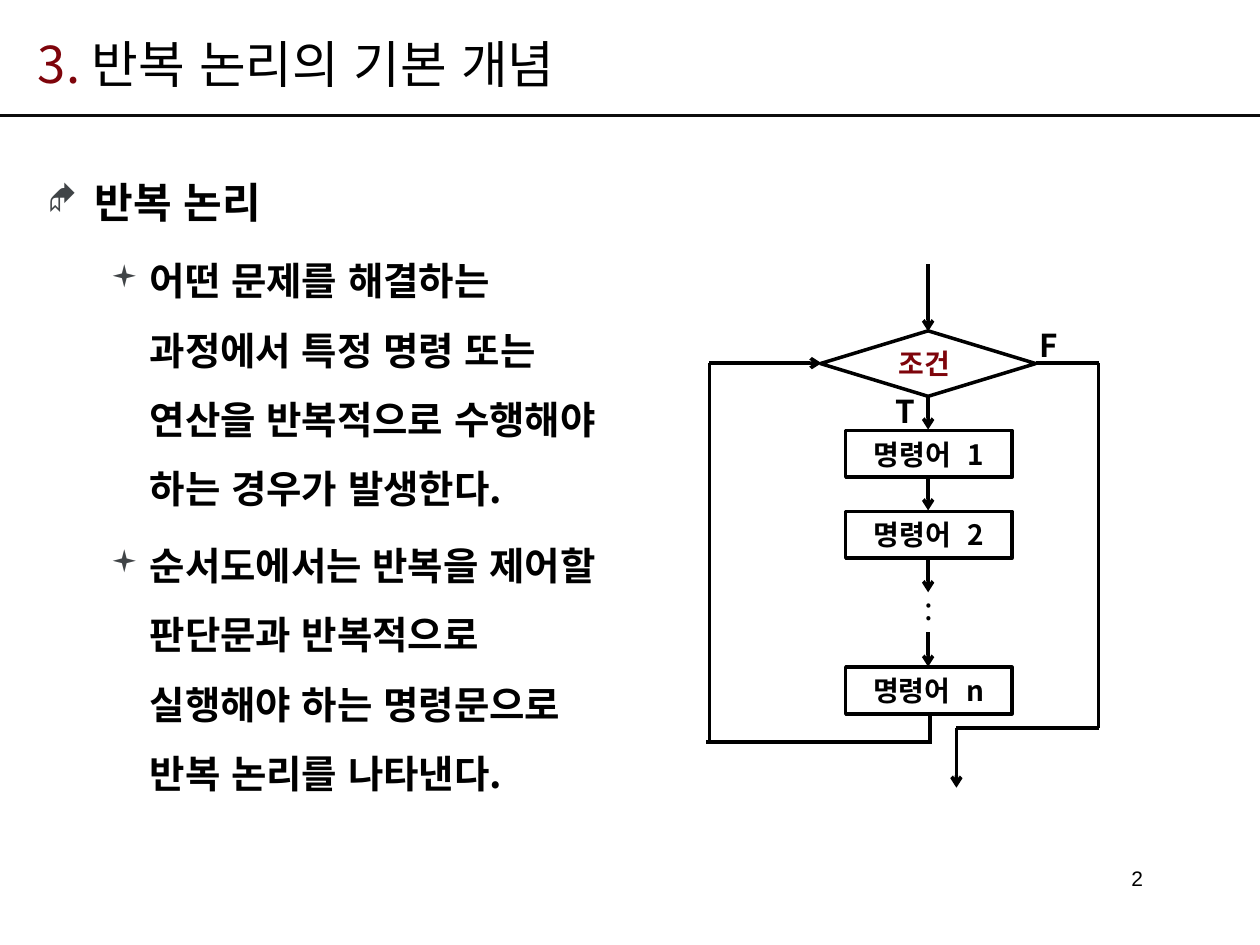
from dataclasses import dataclass

from lxml import etree
from pptx import Presentation
from pptx import util as u
from pptx.dml.color import RGBColor
from pptx.enum import lang, shapes, text
from pptx.oxml.ns import qn

COLORS = {"ink": "000000", "accent": "7E040B", "rule": "0D0D0D", "bullet": "404447"}
KOREAN = "Noto Sans CJK KR"


@dataclass
class Line:
    """A straight line in centimetres, with an optional arrowhead."""
    x1: float
    y1: float
    x2: float
    y2: float
    arrow: bool = False


@dataclass
class Label:
    """A small centred flowchart text."""
    words: str
    left: float
    top: float
    width: float
    height: float
    size: int = 18
    color: str = "ink"
    bold: bool = True
    spacing: float = 0


@dataclass
class Bullet:
    """One bulleted paragraph."""
    words: str
    mark: str
    size: int
    left: float
    hang: float
    level: int
    before: float


def rgb(name: str) -> RGBColor:
    """Look up a colour by name."""
    return RGBColor.from_string(COLORS[name])


def add_span(para, words: str, size: float, color: str = "ink", bold: bool = False,
             font: str = KOREAN):
    """Add one formatted run."""
    span = para.add_run()
    span.text = words
    span.font.size = u.Pt(size)
    span.font.bold = bold
    span.font.name = font
    span.font.language_id = lang.MSO_LANGUAGE_ID.KOREAN
    span.font.color.rgb = rgb(color)
    east = etree.SubElement(span.font._element, qn("a:ea"))
    east.set("typeface", font)
    return span


def add_text(page, left: float, top: float, width: float, height: float, wrap: bool = True):
    """Add a text box and return its frame."""
    box = page.shapes.add_textbox(u.Cm(left), u.Cm(top), u.Cm(width), u.Cm(height))
    box.text_frame.word_wrap = wrap
    return box.text_frame


def add_line(page, line: Line, weight: float = 2, color: str = "ink") -> None:
    """Draw a line or arrow without a shadow."""
    link = page.shapes.add_connector(shapes.MSO_CONNECTOR.STRAIGHT, u.Cm(line.x1),
                                     u.Cm(line.y1), u.Cm(line.x2), u.Cm(line.y2))
    link.line.width = u.Pt(weight)
    link.line.color.rgb = rgb(color)
    if line.arrow:
        etree.SubElement(link.line._get_or_add_ln(), qn("a:tailEnd")).set("type", "arrow")
    etree.SubElement(link._element.spPr, qn("a:effectLst"))


def add_node(page, kind, left: float, top: float, width: float, height: float):
    """Draw an outlined flowchart node."""
    node = page.shapes.add_shape(kind, u.Cm(left), u.Cm(top), u.Cm(width), u.Cm(height))
    node.shadow.inherit = False
    node.fill.background()
    node.line.color.rgb = rgb("ink")
    node.line.width = u.Pt(2)
    return node


def add_command(page, top: float, number: str) -> None:
    """Draw a process box holding a numbered command."""
    node = add_node(page, shapes.MSO_SHAPE.FLOWCHART_PROCESS, 17.05, top, 3.35, 0.94)
    frame = node.text_frame
    frame.word_wrap = False
    frame.vertical_anchor = text.MSO_ANCHOR.MIDDLE
    para = frame.paragraphs[0]
    para.alignment = text.PP_ALIGN.CENTER
    add_span(para, "명령어", 16, bold=True)
    gap = add_span(para, " ", 16, bold=True)
    gap.font._element.set("spc", "500")
    add_span(para, number, 16, bold=True)


def add_label(page, label: Label) -> None:
    """Place a flowchart label."""
    frame = add_text(page, label.left, label.top, label.width, label.height, wrap=False)
    para = frame.paragraphs[0]
    para.alignment = text.PP_ALIGN.CENTER
    if label.spacing:
        para.line_spacing = u.Pt(label.spacing)
    add_span(para, label.words, label.size, label.color, label.bold)


def add_bullet(para, bullet: Bullet) -> None:
    """Fill a paragraph with a hanging bullet and its text."""
    para.level = bullet.level
    para.line_spacing = 1.5
    para.space_before = u.Pt(bullet.before)
    props = para._p.get_or_add_pPr()
    props.set("marL", str(u.Cm(bullet.left)))
    props.set("indent", str(-u.Cm(bullet.hang)))
    tint = etree.SubElement(props, qn("a:buClr"))
    etree.SubElement(tint, qn("a:srgbClr")).set("val", COLORS["bullet"])
    etree.SubElement(props, qn("a:buSzPct")).set("val", "80000")
    etree.SubElement(props, qn("a:buFont")).set("typeface", "Wingdings")
    etree.SubElement(props, qn("a:buChar")).set("char", bullet.mark)
    add_span(para, bullet.words, bullet.size, bold=True)


BULLETS = [
    Bullet("반복 논리", "◆", 24, 0.95, 0.95, 0, 4.8),
    Bullet("어떤 문제를 해결하는 과정에서 특정 명령 또는 연산을 반복적으로 "
           "수행해야 하는 경우가 발생한다.", "▪", 22, 2.06, 0.79, 1, 4.4),
    Bullet("순서도에서는 반복을 제어할 판단문과 반복적으로 실행해야 하는 "
           "명령문으로 반복 논리를 나타낸다.", "▪", 22, 2.06, 0.79, 1, 4.4),
]
AXIS, BRANCH_Y = 18.71, 7.32
LOOP_X, LOOP_Y = 14.3, 14.96
EXIT_X, EXIT_Y, EXIT_END = 22.15, 14.68, 19.28
COMMANDS = {"1": 8.68, "2": 10.31, "n": 13.45}
STEPS = [Line(AXIS, top, AXIS, bottom, True) for top, bottom in
         [(5.33, 6.68), (7.98, 8.66), (9.6, 10.29), (11.25, 11.94), (12.75, 13.44)]]
LOOP = [
    Line(18.75, 14.4, 18.75, LOOP_Y),
    Line(14.24, LOOP_Y, 18.78, LOOP_Y),
    Line(LOOP_X, BRANCH_Y, LOOP_X, LOOP_Y),
    Line(LOOP_X, BRANCH_Y, 16.56, BRANCH_Y, True),
]
EXIT = [
    Line(20.88, BRANCH_Y, EXIT_X, BRANCH_Y),
    Line(EXIT_X, BRANCH_Y, EXIT_X, EXIT_Y),
    Line(EXIT_END, EXIT_Y, EXIT_X, EXIT_Y),
    Line(EXIT_END, EXIT_Y, EXIT_END, 15.88, True),
]
LABELS = [
    Label("조건", 17.81, 6.86, 1.65, 0.94, 16, "accent"),
    Label(":", 18.39, 11.99, 0.66, 0.79, bold=False, spacing=14.6),
    Label("T", 17.81, 7.77, 0.89, 1.02),
    Label("F", 20.7, 6.45, 0.86, 1.02),
]

deck = Presentation()
deck.slide_width, deck.slide_height = u.Cm(25.4), u.Cm(19.05)
page = deck.slides.add_slide(deck.slide_layouts[5])
add_line(page, Line(0, 2.33, 25.4, 2.33), 1.5, "rule")

title = page.shapes.title
title.left, title.top, title.width, title.height = map(u.Cm, (0.51, 0.49, 21.41, 1.55))
title.text_frame.auto_size = text.MSO_AUTO_SIZE.NONE
title.text_frame.vertical_anchor = text.MSO_ANCHOR.MIDDLE
heading = title.text_frame.paragraphs[0]
heading.alignment = text.PP_ALIGN.LEFT
add_span(heading, "3. ", 29, "accent")
add_span(heading, "반복 논리의 기본 개념", 29)

body = add_text(page, 0.71, 2.92, 12.1, 13.59)
for index, bullet in enumerate(BULLETS):
    add_bullet(body.add_paragraph() if index else body.paragraphs[0], bullet)

add_node(page, shapes.MSO_SHAPE.FLOWCHART_DECISION, 16.54, 6.67, 4.34, 1.32)
for number, top in COMMANDS.items():
    add_command(page, top, number)
for line in STEPS + LOOP + EXIT:
    add_line(page, line)
for label in LABELS:
    add_label(page, label)

number = add_text(page, 17.5, 17.32, 5.79, 0.71).paragraphs[0]
number.alignment = text.PP_ALIGN.RIGHT
add_span(number, "2", 12, font="Arial")

deck.save("out.pptx")
